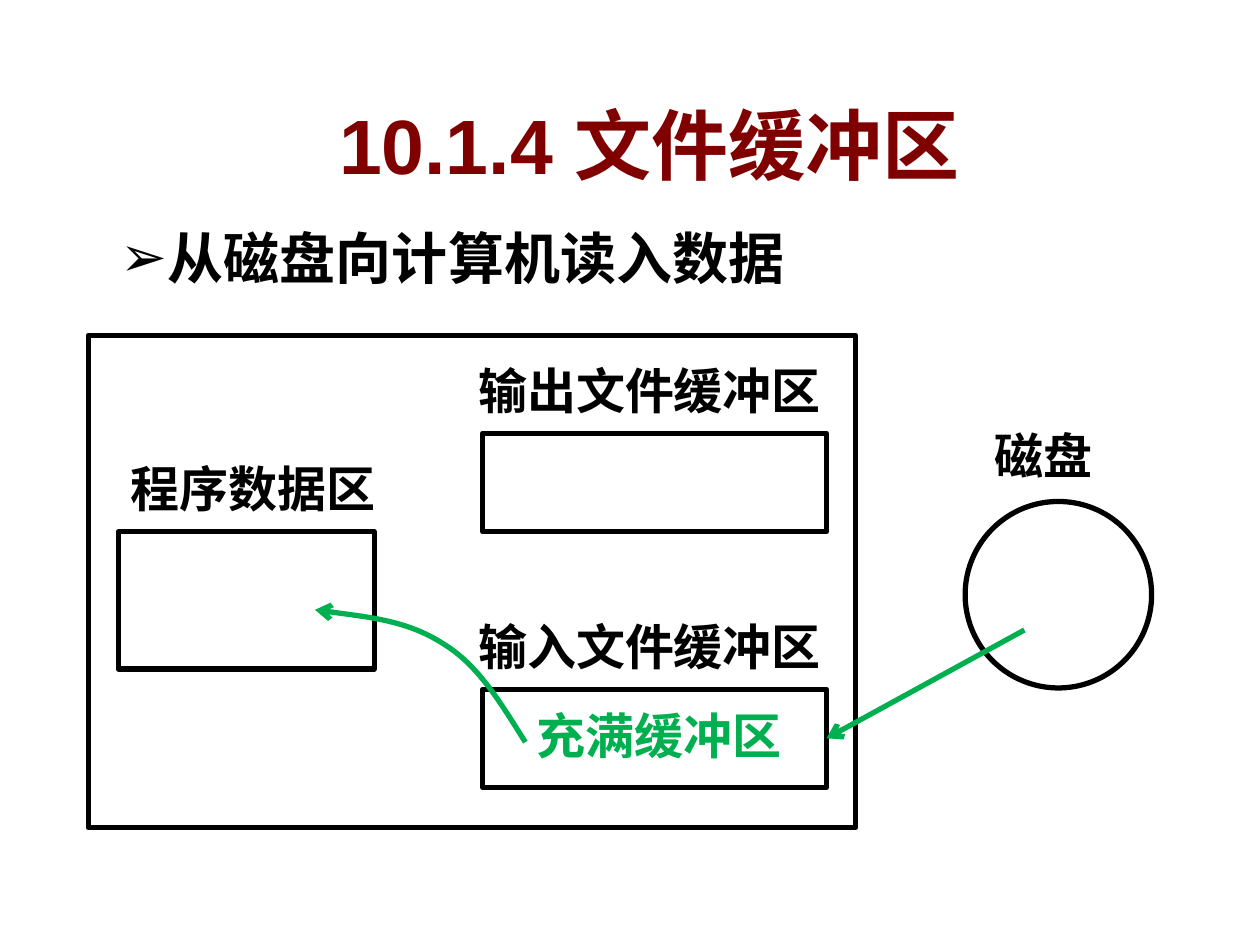
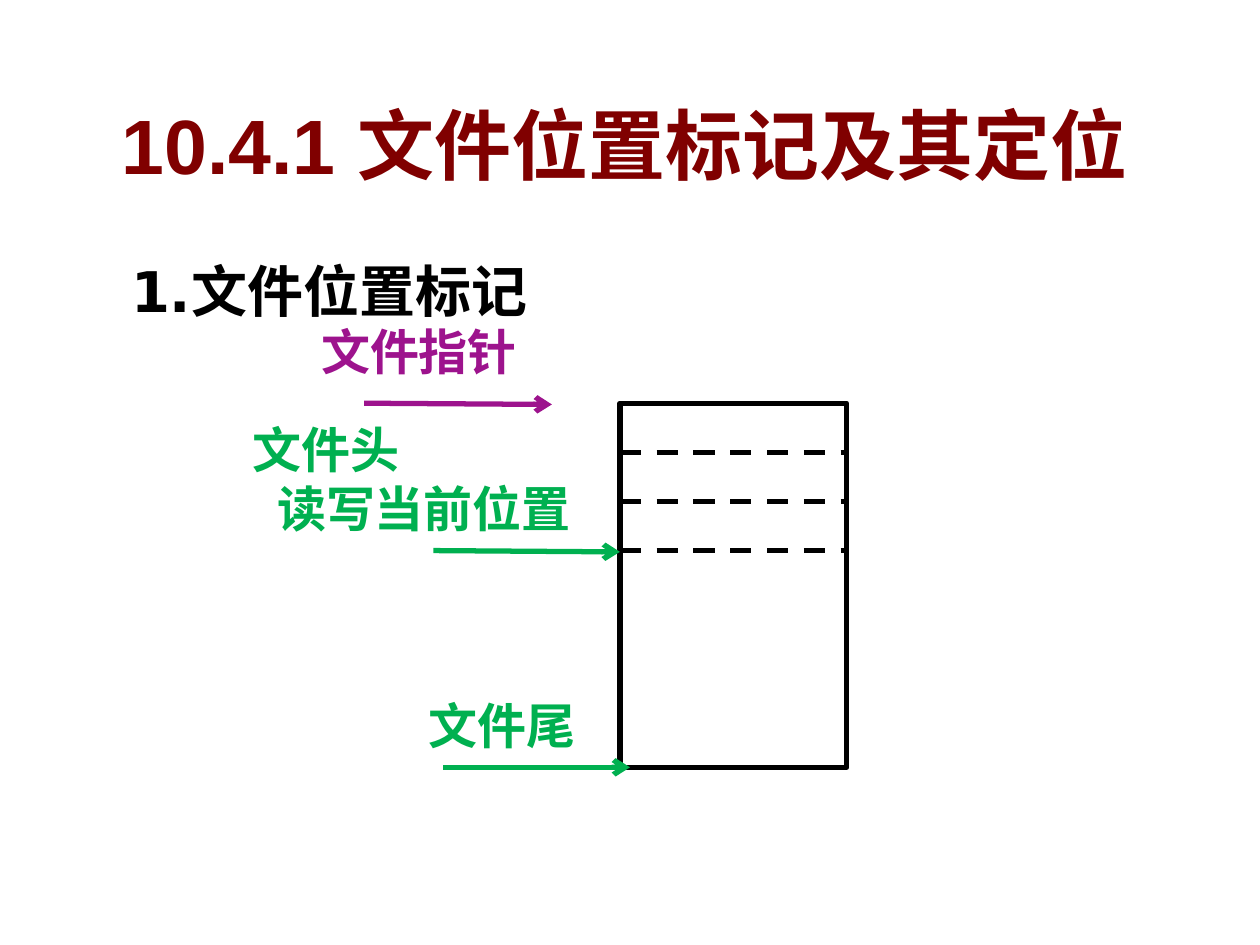
from lxml import etree
from pptx import Presentation
from pptx.dml.color import RGBColor
from pptx.enum.dml import MSO_LINE
from pptx.enum.shapes import MSO_CONNECTOR, MSO_SHAPE
from pptx.enum.text import MSO_ANCHOR, MSO_AUTO_SIZE, PP_ALIGN
from pptx.oxml.ns import qn
from pptx.util import Inches, Pt

BLACK = RGBColor(0x00, 0x00, 0x00)
WHITE = RGBColor(0xFF, 0xFF, 0xFF)
DARK_RED = RGBColor(0x80, 0x00, 0x00)
GREEN = RGBColor(0x00, 0xB0, 0x50)
PURPLE = RGBColor(0x9D, 0x13, 0x8D)
RECTANGLE, OVAL = MSO_SHAPE.RECTANGLE, MSO_SHAPE.OVAL
STRAIGHT, DASH = MSO_CONNECTOR.STRAIGHT, MSO_LINE.DASH
LEFT, CENTER = PP_ALIGN.LEFT, PP_ALIGN.CENTER
TOP, MIDDLE = MSO_ANCHOR.TOP, MSO_ANCHOR.MIDDLE
NO_AUTOFIT = MSO_AUTO_SIZE.NONE
LINE_WIDTH = Pt(3)
LABEL_HEIGHT = 0.57


def write_text(shape, box, text, size, color, align=CENTER, anchor=TOP, font="Arial"):
    """Place a text shape and fill it with one bold paragraph."""
    shape.left, shape.top, shape.width, shape.height = map(Inches, box)
    frame = shape.text_frame
    frame.word_wrap = True
    frame.auto_size = NO_AUTOFIT
    frame.vertical_anchor = anchor
    paragraph = frame.paragraphs[0]
    paragraph.text = text
    paragraph.alignment = align
    paragraph.space_before = Pt(0)
    paragraph.font.name = font
    paragraph.font.size = Pt(size)
    paragraph.font.bold = True
    paragraph.font.color.rgb = color
    return paragraph


def style_line(shape, color, arrow=False):
    """Give an outline or connector its colour, width and arrowhead, without shadow."""
    shape.line.color.rgb = color
    shape.line.width = LINE_WIDTH
    if arrow:
        etree.SubElement(shape.line._get_or_add_ln(), qn("a:tailEnd"), type="arrow")
    properties = shape._element.spPr
    if properties.find(qn("a:effectLst")) is None:
        etree.SubElement(properties, qn("a:effectLst"))


presentation = Presentation()
presentation.slide_width = Inches(10)
presentation.slide_height = Inches(7.5)

# Slides with their shadowed titles
slides = []
for title, title_width in (("10.1.4 文件缓冲区", 9.69), ("10.4.1 文件位置标记及其定位", 9.3)):
    slide = presentation.slides.add_slide(presentation.slide_layouts[1])
    paragraph = write_text(slide.shapes.title, (0.31, 0.72, title_width, 0.84),
                           title, 44, DARK_RED, anchor=MIDDLE)
    run_properties = paragraph.runs[0]._r.get_or_add_rPr()
    effects = etree.SubElement(run_properties, qn("a:effectLst"))
    shadow = etree.SubElement(effects, qn("a:outerShdw"), dist="38100", dir="2700000")
    etree.SubElement(shadow, qn("a:srgbClr"), val="C0C0C0")
    slides.append(slide)
buffer_slide, marker_slide = slides

# Slide 1: memory areas and disk
for kind, *box in (
    (RECTANGLE, 0.7, 2.66, 6.09, 3.91),
    (RECTANGLE, 0.94, 4.22, 2.03, 1.09),
    (RECTANGLE, 3.83, 3.44, 2.73, 0.78),
    (RECTANGLE, 3.83, 5.47, 2.73, 0.78),
    (OVAL, 7.66, 3.98, 1.48, 1.48),
):
    area = buffer_slide.shapes.add_shape(kind, *map(Inches, box))
    if kind == OVAL:
        area.fill.solid()
        area.fill.fore_color.rgb = WHITE
    else:
        area.fill.background()
    style_line(area, BLACK)

# Slide 1: bulleted line
paragraph = write_text(buffer_slide.placeholders[1], (0.86, 1.72, 6.41, 0.64),
                       "从磁盘向计算机读入数据", 32, BLACK, LEFT)
bullet_properties = paragraph._p.get_or_add_pPr()
bullet_properties.set("marL", "0")
bullet_properties.set("indent", "0")
bullet = etree.Element(qn("a:buChar"), char="➢")
bullet_properties.find(qn("a:defRPr")).addprevious(bullet)

# Slide 1: curved arrow from the input buffer to the program data
curve_points = [(3.98, 5.59), (3.8, 5.28), (3.52, 5.11),
                (3.24, 4.93), (2.87, 4.89), (2.5, 4.84)]
builder = buffer_slide.shapes.build_freeform(Inches(4.17), Inches(5.89))
builder.add_line_segments([(Inches(x), Inches(y)) for x, y in curve_points], close=False)
curve = builder.convert_to_shape()
segments = list(curve._element.iter(qn("a:lnTo")))
for start in range(0, len(segments), 3):
    bezier = etree.Element(qn("a:cubicBezTo"))
    segments[start].addprevious(bezier)
    for segment in segments[start:start + 3]:
        bezier.append(segment[0])
        segment.getparent().remove(segment)
curve.fill.background()
style_line(curve, GREEN, arrow=True)

# Slide 2: numbered heading
paragraph = write_text(marker_slide.placeholders[1], (0.94, 1.88, 8.36, 0.7),
                       "1.文件位置标记", 32, BLACK, LEFT, font="DejaVu Sans")
paragraph.line_spacing = 1.2
paragraph.space_before = Pt(8)
heading_properties = paragraph._p.get_or_add_pPr()
heading_properties.set("marL", str(Inches(0.38)))
heading_properties.set("indent", str(Inches(-0.38)))
heading_properties.find(qn("a:defRPr")).addprevious(etree.Element(qn("a:buNone")))

# Slide 2: file with dashed record borders
file_left, file_top, file_width, record_height = 4.92, 3.2, 1.8, 0.39
file_group = marker_slide.shapes.add_group_shape()
file_box = file_group.shapes.add_shape(RECTANGLE, Inches(file_left), Inches(file_top),
                                       Inches(file_width), Inches(2.89))
file_box.fill.background()
style_line(file_box, BLACK)
for record in range(1, 4):
    y = Inches(file_top + record * record_height)
    border = file_group.shapes.add_connector(
        STRAIGHT, Inches(file_left), y, Inches(file_left + file_width), y)
    style_line(border, BLACK)
    border.line.dash_style = DASH

# Straight arrows
for slide, color, *ends in (
    (buffer_slide, GREEN, 8.13, 5, 6.56, 5.86),
    (marker_slide, PURPLE, 2.89, 3.2, 4.38, 3.21),
    (marker_slide, GREEN, 3.44, 4.37, 4.92, 4.38),
    (marker_slide, GREEN, 3.52, 6.09, 5, 6.09),
):
    arrow = slide.shapes.add_connector(STRAIGHT, *map(Inches, ends))
    style_line(arrow, color, arrow=True)

# Labels
for slide, text, color, align, left, top, width in (
    (buffer_slide, "程序数据区", BLACK, LEFT, 0.94, 3.59, 2.27),
    (buffer_slide, "输出文件缓冲区", BLACK, CENTER, 3.59, 2.81, 3.13),
    (buffer_slide, "输入文件缓冲区", BLACK, CENTER, 3.59, 4.84, 3.13),
    (buffer_slide, "磁盘", BLACK, CENTER, 7.66, 3.33, 1.25),
    (buffer_slide, "充满缓冲区", GREEN, CENTER, 4.06, 5.55, 2.34),
    (marker_slide, "文件指针", PURPLE, CENTER, 2.27, 2.5, 2.11),
    (marker_slide, "文件头", GREEN, CENTER, 1.88, 3.28, 1.41),
    (marker_slide, "读写当前位置", GREEN, CENTER, 1.88, 3.75, 2.97),
    (marker_slide, "文件尾", GREEN, CENTER, 3.28, 5.47, 1.41),
):
    label = slide.shapes.add_textbox(0, 0, 0, 0)
    write_text(label, (left, top, width, LABEL_HEIGHT), text, 28, color, align)

presentation.save("out.pptx")
